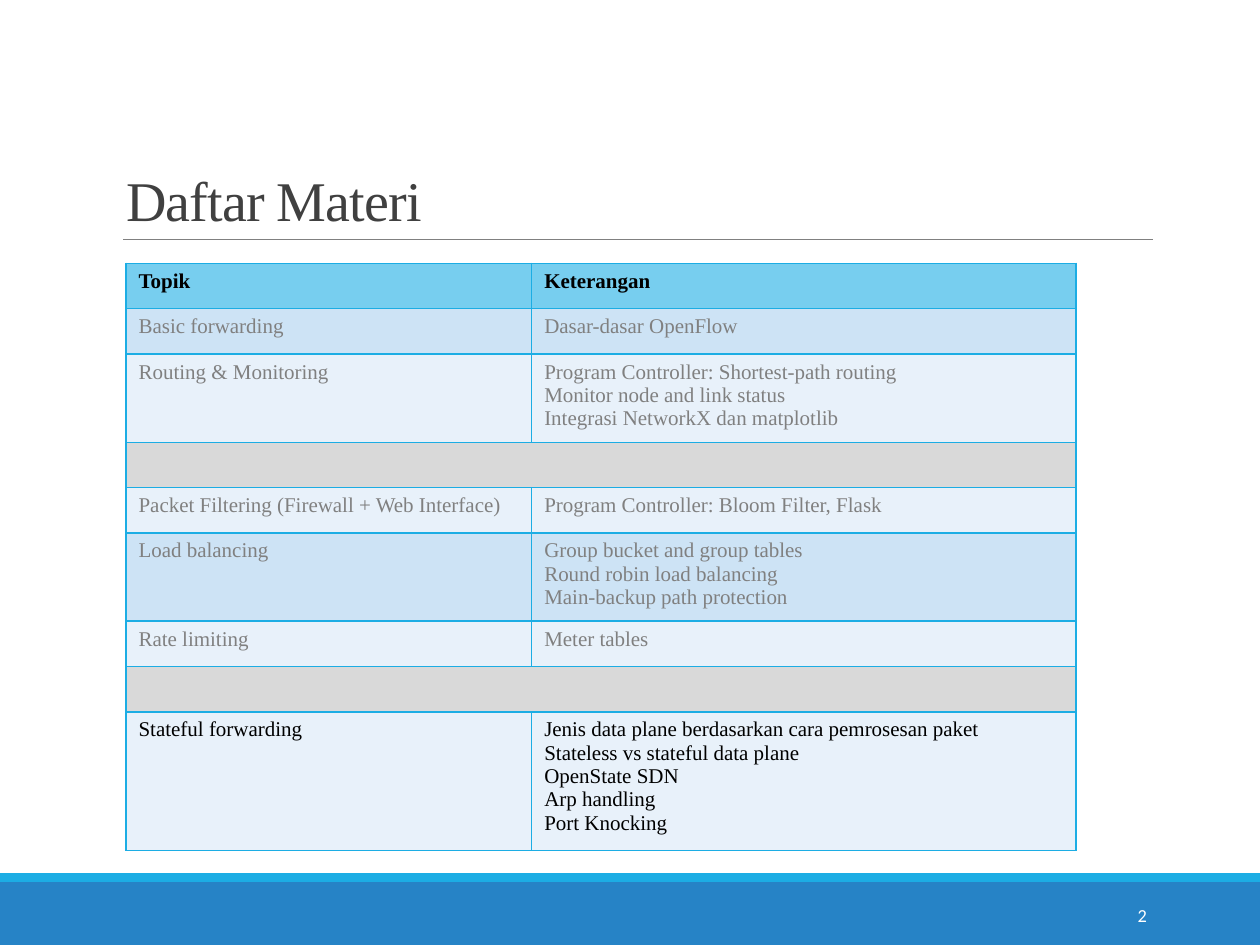
from lxml import etree
from pptx import Presentation
from pptx.dml.color import RGBColor
from pptx.enum import shapes, text
from pptx.oxml import ns
from pptx.util import Inches, Pt


def color(hex_string):
    return RGBColor.from_string(hex_string)


def style(p, size, name, hex_string, bold=False):
    p.font.size = Pt(size)
    p.font.name = name
    p.font.bold = bold
    p.font.color.rgb = color(hex_string)


SERIF = "Times New Roman"
HEAD, DARK, LIGHT, GAP = "77CEEF", "CDE3F5", "E8F1FA", "D9D9D9"
BLACK, GRAY = "000000", "808080"

prs = Presentation()
prs.slide_width, prs.slide_height = Inches(10), Inches(7.5)
s = prs.slides.add_slide(prs.slide_layouts[5])

for top, height, fill in [(7, 0.5, "2683C6"), (6.93, 0.07, "1CADE4")]:
    bar = s.shapes.add_shape(shapes.MSO_SHAPE.RECTANGLE, 0, Inches(top), Inches(10), Inches(height))
    bar.shadow.inherit = False
    bar.fill.solid()
    bar.fill.fore_color.rgb = color(fill)
    bar.line.fill.background()

rule = s.shapes.add_connector(
    shapes.MSO_CONNECTOR.STRAIGHT, Inches(0.98), Inches(1.9), Inches(9.15), Inches(1.9))
rule.line.color.rgb = color(GRAY)
rule.line.width = Pt(0.5)
etree.SubElement(rule._element.spPr, ns.qn("a:effectLst"))

title = s.shapes.title
title.left, title.top, title.width, title.height = map(Inches, (0.9, 0.31, 8.25, 1.59))
tf = title.text_frame
tf.text = "Daftar Materi"
tf.auto_size = text.MSO_AUTO_SIZE.NONE
tf.vertical_anchor = text.MSO_ANCHOR.BOTTOM
p = tf.paragraphs[0]
p.alignment = text.PP_ALIGN.LEFT
p.line_spacing = 0.85
style(p, 32, SERIF, "404040")
p.runs[0]._r.get_or_add_rPr().set("spc", "-50")

number = s.shapes.add_textbox(Inches(8.12), Inches(7.06), Inches(1.08), Inches(0.4))
tf = number.text_frame
tf.word_wrap = True
tf.vertical_anchor = text.MSO_ANCHOR.MIDDLE
tf.text = "2"
p = tf.paragraphs[0]
p.alignment = text.PP_ALIGN.RIGHT
style(p, 10.5, "Calibri", "FFFFFF")

topics = [
    (HEAD, BLACK, "Topik", "Keterangan"),
    (DARK, GRAY, "Basic forwarding", "Dasar-dasar OpenFlow"),
    (LIGHT, GRAY, "Routing & Monitoring",
     "Program Controller: Shortest-path routing\nMonitor node and link status\n"
     "Integrasi NetworkX dan matplotlib"),
    (GAP, GRAY, "", ""),
    (LIGHT, GRAY, "Packet Filtering (Firewall + Web Interface)",
     "Program Controller: Bloom Filter, Flask"),
    (DARK, GRAY, "Load balancing",
     "Group bucket and group tables\nRound robin load balancing\nMain-backup path protection"),
    (LIGHT, GRAY, "Rate limiting", "Meter tables"),
    (GAP, GRAY, "", ""),
    (LIGHT, BLACK, "Stateful forwarding",
     "Jenis data plane berdasarkan cara pemrosesan paket\nStateless vs stateful data plane\n"
     "OpenState SDN\nArp handling\nPort Knocking"),
]
line_heights = {1: 0.36, 3: 0.65, 5: 1.02}
table = s.shapes.add_table(
    len(topics), 2, Inches(1), Inches(2.09), Inches(7.54), Inches(4.46)).table
table.first_row = table.horz_banding = False
for column, width in zip(table.columns, (3.22, 4.32)):
    column.width = Inches(width)

for i, (fill, ink, *texts) in enumerate(topics):
    table.rows[i].height = Inches(line_heights[texts[1].count("\n") + 1])
    for j, words in enumerate(texts):
        cell = table.cell(i, j)
        cell.text = words
        for p in cell.text_frame.paragraphs:
            style(p, 12, SERIF, ink, fill == HEAD)
        if fill == GAP:
            cell.margin_top = cell.margin_bottom = 0
        tcPr = cell._tc.get_or_add_tcPr()
        for side in ("lnL", "lnR", "lnT", "lnB"):
            ln = etree.SubElement(tcPr, ns.qn("a:" + side), w=str(Pt(1)))
            solid = etree.SubElement(ln, ns.qn("a:solidFill"))
            etree.SubElement(solid, ns.qn("a:srgbClr"), val="1CADE4")
        cell.fill.solid()
        cell.fill.fore_color.rgb = color(fill)
    if fill == GAP:
        table.cell(i, 0).merge(table.cell(i, 1))

prs.save("out.pptx")
